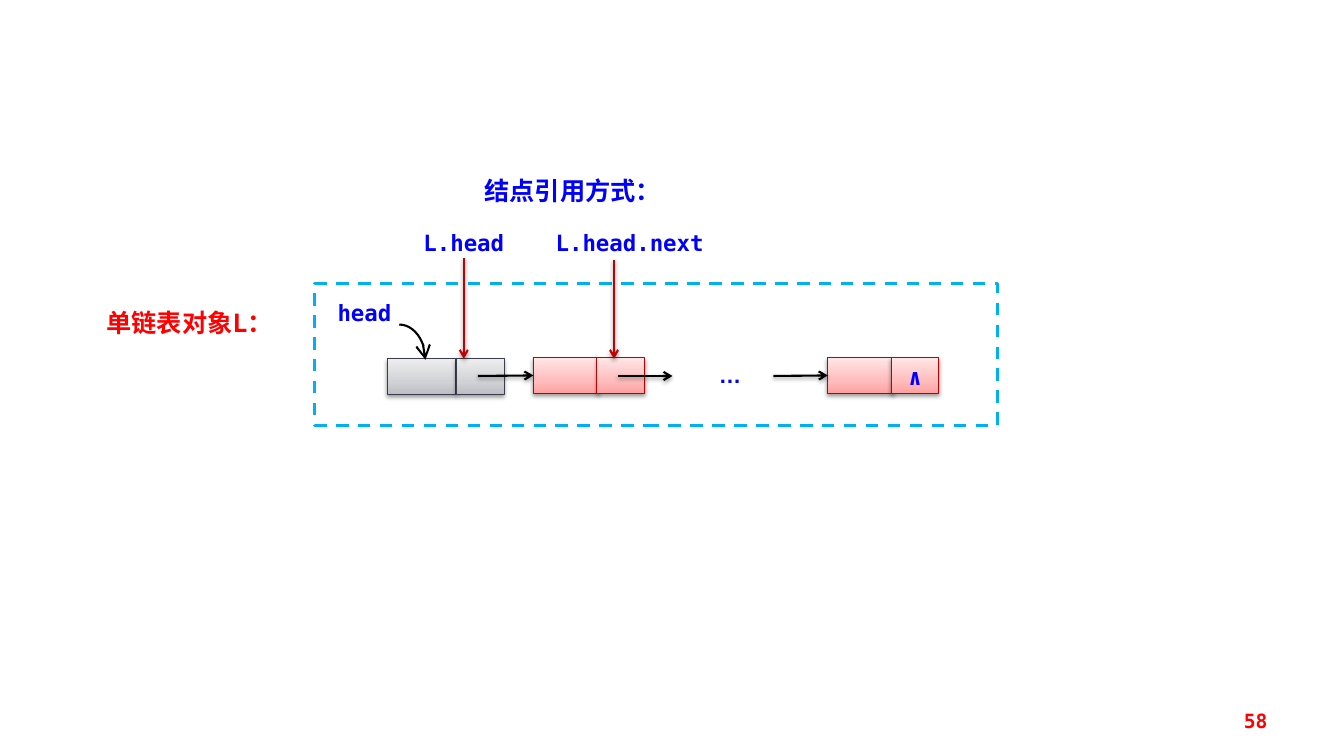
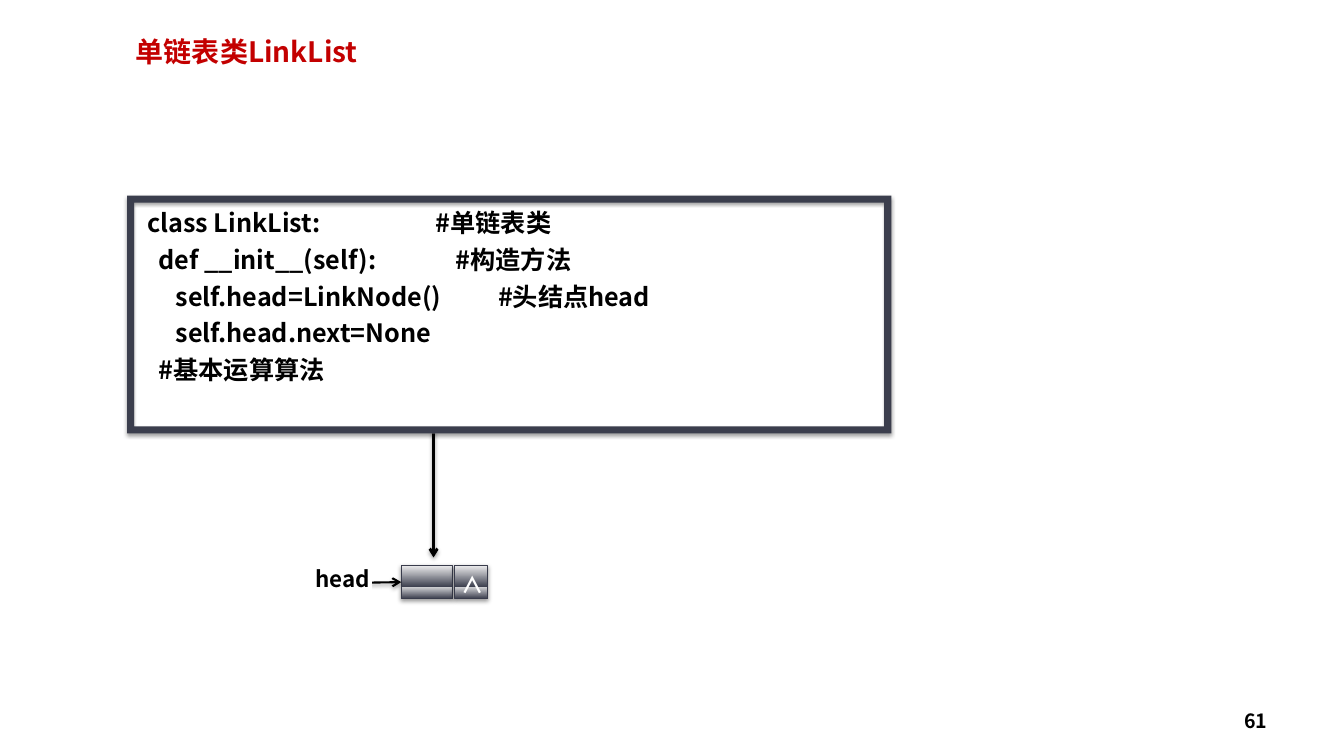
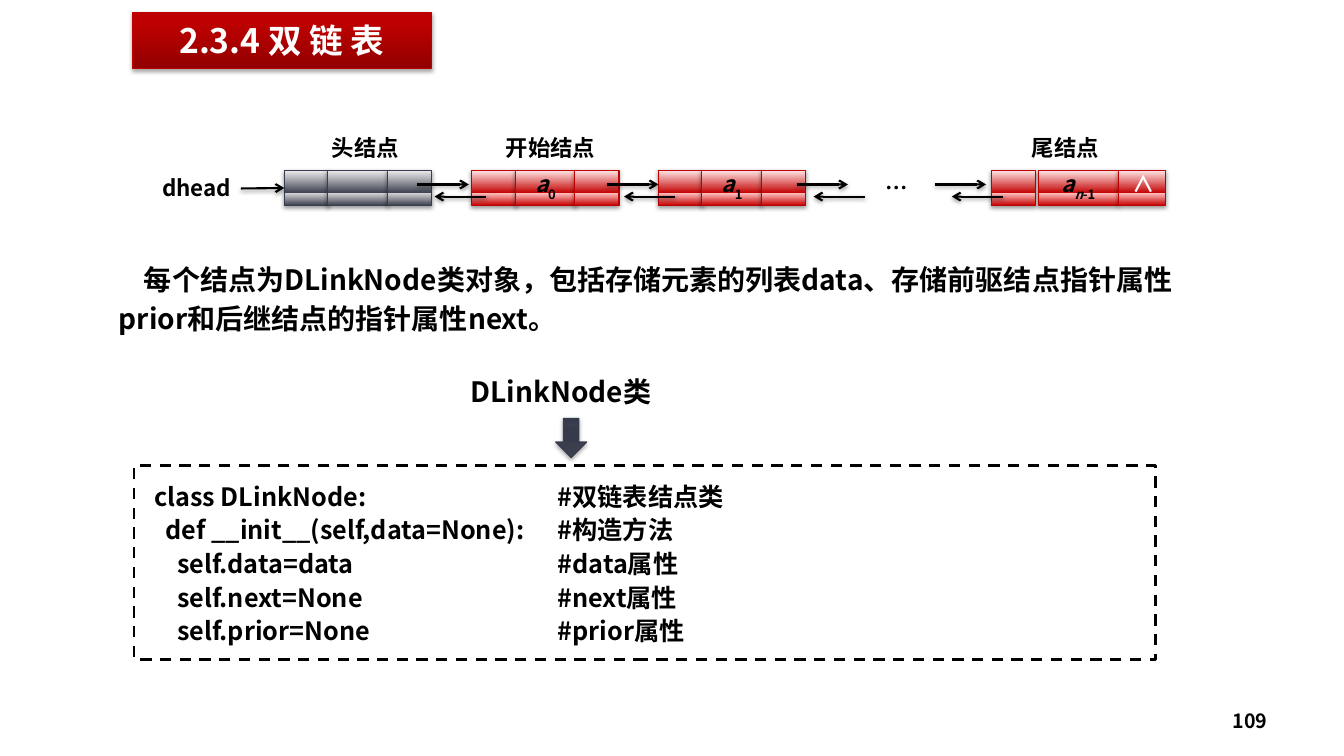
import pptx
import pptx.dml.color
import pptx.enum.dml
import pptx.enum.shapes
import pptx.enum.text
import pptx.oxml.ns
import pptx.util
from lxml import etree

Inches = pptx.util.Inches
Pt = pptx.util.Pt
qn = pptx.oxml.ns.qn
SHAPE = pptx.enum.shapes.MSO_SHAPE
ALIGN = pptx.enum.text.PP_ALIGN
ANCHOR = pptx.enum.text.MSO_ANCHOR

SANS, MONO = "Noto Sans CJK SC", "DejaVu Sans Mono"
BLACK, WHITE, RED, BLUE, DEEP_RED = "000000", "FFFFFF", "FF0000", "0000FF", "C30000"
SLATE, SLATE_LINE, RED_LINE = "3B3E4D", "393C4C", "BF0000"
CYAN = "00B0F0"

GREY_TINT = [(0, "BDBEC4"), (35, "D1D2D5"), (100, "EEEEEF")]
RED_TINT = [(0, "FFA1A1"), (35, "FFBDBD"), (100, "FFE6E6")]
ARROW_TINT = [(0, "2A2D3B"), (80, "373A4D"), (100, "363A4E")]
BANNER_TINT = [(0, "920000"), (80, "BD0000"), (100, "BE0000")]


def banded(tint, color):
    """Follow every stop of a gradient with a sharp return to one colour."""
    return [stop for place, shade in tint for stop in ((place, shade), (place, color))]


PALE_GREY = dict(fill=GREY_TINT, line=SLATE_LINE, shadow=38)
PALE_RED = dict(fill=RED_TINT, line=RED_LINE, shadow=38)
DARK_GREY = dict(fill=banded(GREY_TINT, SLATE), line=SLATE_LINE, shadow=38)
DARK_RED = dict(fill=banded(RED_TINT, DEEP_RED), line=RED_LINE, shadow=38)


def rgb(color):
    return pptx.dml.color.RGBColor.from_string(color)


def add_child(parent, tag, **attributes):
    return etree.SubElement(parent, qn(tag), {key: str(value) for key, value in attributes.items()})


def cast_shadow(effects, opacity, distance=1.6):
    shadow = add_child(effects, "a:outerShdw", blurRad=Pt(3.1), dist=Pt(distance),
                       dir=90 * 60000, rotWithShape=0)
    shade = add_child(shadow, "a:srgbClr", val=BLACK)
    add_child(shade, "a:alpha", val=opacity * 1000)


def fill_gradient(shape, stops):
    shape.fill.gradient()
    shape.fill.gradient_angle = 90
    stop_list = shape.element.spPr.find(".//" + qn("a:gsLst"))
    for stop in list(stop_list):
        stop_list.remove(stop)
    for place, color in stops:
        add_child(add_child(stop_list, "a:gs", pos=place * 1000), "a:srgbClr", val=color)


def add_box(page, left, top, width, height, kind=SHAPE.RECTANGLE, fill=None,
            line=None, weight=0.75, dashed=False, shadow=None):
    shape = page.shapes.add_shape(kind, Inches(left), Inches(top), Inches(width), Inches(height))
    if fill is None:
        shape.fill.background()
    elif isinstance(fill, str):
        shape.fill.solid()
        shape.fill.fore_color.rgb = rgb(fill)
    else:
        fill_gradient(shape, fill)
    if line:
        shape.line.color.rgb = rgb(line)
        shape.line.width = Pt(weight)
        if dashed:
            shape.line.dash_style = pptx.enum.dml.MSO_LINE.DASH
    else:
        shape.line.fill.background()
    shape.shadow.inherit = False
    if shadow:
        cast_shadow(shape.element.spPr.find(qn("a:effectLst")), shadow)
    return shape


def add_arrowhead(shape, size="med"):
    add_child(shape.element.spPr.find(qn("a:ln")), "a:tailEnd", type="arrow", w=size, len=size)


def add_arrow(page, start, end, color=BLACK, weight=1.5, source=None, target=None):
    """Draw an arrow; source and target are (shape, side) pairs it is joined to."""
    points = [Inches(value) for value in (*start, *end)]
    arrow = page.shapes.add_connector(pptx.enum.shapes.MSO_CONNECTOR.STRAIGHT, *points)
    if source:
        arrow.begin_connect(*source)
    if target:
        arrow.end_connect(*target)
    arrow.line.color.rgb = rgb(color)
    arrow.line.width = Pt(weight)
    add_arrowhead(arrow)
    cast_shadow(add_child(arrow.element.spPr, "a:effectLst"), 38)
    return arrow


def write(shape, paragraphs, size=16, color=BLACK, font=SANS, align=ALIGN.CENTER,
          anchor=ANCHOR.TOP, insets=(0, 0, 0, 0), leading=None, before=None,
          tabs=(), indent=None):
    """Fill a shape with paragraphs: each a string or a list of (text, italic, baseline)."""
    frame = shape.text_frame
    frame.word_wrap = True
    frame.vertical_anchor = anchor
    (frame.margin_left, frame.margin_top,
     frame.margin_right, frame.margin_bottom) = map(Inches, insets)
    for index, spans in enumerate(paragraphs):
        para = frame.add_paragraph() if index else frame.paragraphs[0]
        properties = para._p.get_or_add_pPr()
        if index < len(tabs):
            add_child(add_child(properties, "a:tabLst"), "a:tab", pos=Inches(tabs[index]), algn="l")
        if indent:
            properties.set("marL", "0")
            properties.set("indent", str(Inches(indent)))
        para.alignment = align
        if leading:
            para.line_spacing = Pt(leading)
        if before and index:
            para.space_before = Pt(before)
        if isinstance(spans, str):
            spans = [(spans, False, 0)]
        for text, italic, baseline in spans:
            span = para.add_run()
            span.text = text
            span.font.name = font
            span.font.size = Pt(size)
            span.font.bold = True
            span.font.italic = italic
            span.font.color.rgb = rgb(color)
            add_child(span.font._element, "a:ea", typeface=font)
            if baseline:
                span.font._element.set("baseline", str(baseline * 1000))
    return shape


def add_label(page, left, top, width, height, text, **text_format):
    return write(add_box(page, left, top, width, height, fill=WHITE), [text], **text_format)


def add_text(page, left, top, width, height, text, **text_format):
    box = page.shapes.add_textbox(Inches(left), Inches(top), Inches(width), Inches(height))
    defaults = dict(size=20, align=ALIGN.LEFT, insets=(0.1, 0.05, 0.1, 0.05))
    return write(box, [text], **{**defaults, **text_format})


def add_node(page, left, top, height, cells, style):
    """Draw the cells of a node, given as (offset, width), and return them."""
    return [add_box(page, left + offset, top, width, height, **style) for offset, width in cells]


def add_page_number(page, number, **text_format):
    add_text(page, 9.56, 6.95, 3.11, 0.4, number, size=14, align=ALIGN.RIGHT,
             anchor=ANCHOR.MIDDLE, **text_format)


def add_single_list(page, left, top):
    """Draw the dashed list object with its nodes and pointers."""
    label = dict(font=MONO, color=BLUE)
    row = top + 0.74
    middle = row + 0.18
    add_node(page, left + 0.72, row + 0.01, 0.35, [(0, 0.68), (0.69, 0.47)], PALE_GREY)
    cells = [(0, 0.65), (0.63, 0.47)]
    first = add_node(page, left + 2.17, row, 0.35, cells, PALE_RED)
    last = add_node(page, left + 5.09, row, 0.35, cells, PALE_RED)
    write(last[1], ["∧"], leading=23, **label)

    add_label(page, left + 0.11, top + 0.16, 0.77, 0.29, "head", **label)
    bend = add_box(page, left + 0.58, top + 0.41, 0.52, 0.7, kind=SHAPE.ARC, line=BLACK, weight=1.5)
    add_arrowhead(bend, "lg")
    add_label(page, left + 3.84, top + 0.77, 0.56, 0.29, "…", font="Arial", color=BLUE)
    for start, end, target in ((1.62, 2.17, first), (3.01, 3.55, None), (4.55, 5.09, last)):
        add_arrow(page, (left + start, middle), (left + end, middle),
                  target=(target[0], 1) if target else None)

    add_box(page, left, top, 6.77, 1.41, line=CYAN, weight=2.25, dashed=True)
    head = add_label(page, left + 0.97, top - 0.54, 1.02, 0.29, "L.head", **label)
    add_label(page, left + 2.18, top - 0.54, 1.89, 0.29, "L.head.next", **label)
    for offset, source in ((1.48, (head, 2)), (2.97, None)):
        add_arrow(page, (left + offset, top - 0.23), (left + offset, top + 0.75),
                  color=DEEP_RED, source=source)


def add_framed_code(page, left, top, width, height):
    code = [
        "class LinkList:\t#单链表类",
        "  def __init__(self):\t#构造方法",
        "     self.head=LinkNode()\t#头结点head",
        "     self.head.next=None",
        "  #基本运算算法",
    ]
    write(add_box(page, left, top, width, height, fill=WHITE), code, size=18, align=ALIGN.LEFT,
          insets=(0.2, 0.12, 0.1, 0.12), before=4.6, tabs=(2.86, 3.06, 3.48))
    frame = add_box(page, left, top, width, height, kind=SHAPE.FRAME, fill=SLATE, shadow=38)
    frame.adjustments[0] = 0.03


def add_empty_list(page, left, top):
    cells = add_node(page, left + 0.87, top, 0.33, [(0, 0.51), (0.53, 0.33)], DARK_GREY)
    write(cells[1], ["∧"], color=WHITE, leading=23, insets=(0.03, 0, 0, 0))
    add_arrow(page, (left + 0.56, top + 0.17), (left + 0.87, top + 0.17), target=(cells[0], 1))
    add_label(page, left, top, 0.58, 0.33, "head")


def add_double_list(page, left, top):
    """Draw the double list: captions, nodes of three cells, and links both ways."""
    captions = ((3.38, 1.32, "开始结点"), (8.6, 1.09, "尾结点"), (1.66, 1.09, "头结点"))
    for offset, width, caption in captions:
        add_label(page, left + offset, top, width, 0.33, caption)

    row = top + 0.36
    inner = [(0, 0.44), (0.43, 0.6), (1.02, 0.44)]
    outer = [(0, 0.44), (0.47, 0.79), (1.26, 0.47)]
    head = add_node(page, left + 1.4, row, 0.35, inner, DARK_GREY)
    add_label(page, left, top + 0.4, 1.14, 0.33, "dhead", insets=(0.02, 0, 0.1, 0))
    add_arrow(page, (left + 0.97, row + 0.18), (left + 1.4, row + 0.18), target=(head[0], 1))

    nodes = (
        (3.26, inner, [("0", False, -30)]),
        (5.11, inner, [("1", False, -30)]),
        (8.41, outer, [("n", True, -30), ("-1", False, -30)]),
    )
    for offset, cells, subscript in nodes:
        node = add_node(page, left + offset, row, 0.35, cells, DARK_RED)
        write(node[1], [[("a", True, 0)] + subscript], insets=(0.1, 0, 0.1, 0))
    write(node[2], ["∧"], color=WHITE, insets=(0.03, 0, 0, 0))

    add_label(page, left + 7.13, top + 0.4, 0.69, 0.33, "…", insets=(0.1, 0, 0.1, 0))
    for offset in (2.72, 4.6, 6.48, 7.85):
        start = left + offset
        add_arrow(page, (start, row + 0.14), (start + 0.51, row + 0.14))
        add_arrow(page, (start + 0.68, row + 0.26), (start + 0.17, row + 0.26))


def add_node_class(page, left, top):
    """Draw the class caption, the arrow below it and the dashed code box."""
    code = [
        "class DLinkNode:\t#双链表结点类",
        "  def __init__(self,data=None):\t#构造方法",
        "    self.data=data\t#data属性",
        "    self.next=None\t#next属性",
        "    self.prior=None\t#prior属性",
    ]
    box = add_box(page, left, top + 0.95, 10.13, 1.92, line=BLACK, weight=2, dashed=True)
    write(box, code, size=18, align=ALIGN.LEFT, insets=(0.2, 0.12, 0.1, 0.12),
          leading=24, tabs=[4] * len(code))
    add_box(page, left + 4.18, top + 0.48, 0.31, 0.39, kind=SHAPE.DOWN_ARROW,
            fill=banded(ARROW_TINT, SLATE), line=SLATE_LINE, shadow=35)
    add_text(page, left + 3.24, top, 2.82, 0.44, "DLinkNode类")


def build_reference_slide(page):
    add_label(page, 0.94, 3.05, 1.88, 0.39, "单链表对象L：", size=18, font=MONO, color=RED)
    add_single_list(page, 3.12, 2.81)
    add_label(page, 4.48, 1.74, 2.4, 0.29, "结点引用方式：", size=18, font=MONO, color=BLUE)
    add_page_number(page, "58", font=MONO, color=RED)


def build_class_slide(page):
    add_text(page, 1.25, 0.29, 4.84, 0.44, "单链表类LinkList", color=DEEP_RED)
    add_empty_list(page, 3.11, 5.61)
    add_arrow(page, (4.3, 3.74), (4.3, 5.53), weight=2)
    add_page_number(page, "61")
    add_framed_code(page, 1.26, 1.94, 7.58, 2.36)


def build_double_list_slide(page):
    banner = add_box(page, 1.31, 0.12, 2.97, 0.56, fill=BANNER_TINT, line=RED_LINE, shadow=35)
    write(banner, ["2.3.4 双 链 表"], size=24, color=WHITE, anchor=ANCHOR.MIDDLE,
          insets=(0.1, 0.08, 0.1, 0.08))
    add_double_list(page, 1.42, 1.33)
    add_text(page, 1.08, 2.5, 10.86, 0.88,
             "每个结点为DLinkNode类对象，包括存储元素的列表data、"
             "存储前驱结点指针属性prior和后继结点的指针属性next。",
             leading=28, indent=0.25)
    add_node_class(page, 1.33, 3.67)
    add_page_number(page, "109")


def main():
    deck = pptx.Presentation()
    deck.slide_width, deck.slide_height = Inches(13.33), Inches(7.5)
    for build in (build_reference_slide, build_class_slide, build_double_list_slide):
        build(deck.slides.add_slide(deck.slide_layouts[6]))
    deck.save("out.pptx")


if __name__ == "__main__":
    main()
